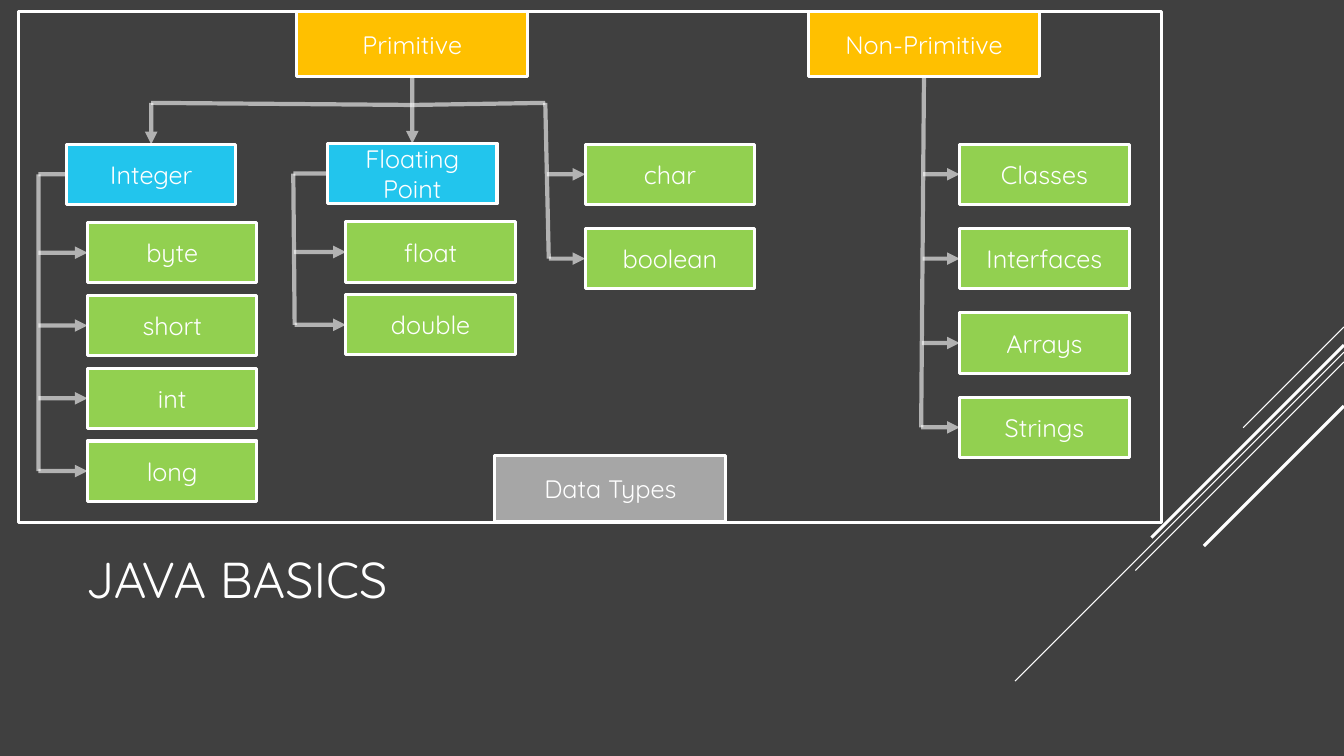
from dataclasses import dataclass
from typing import Optional

from lxml.etree import SubElement as Sub
from pptx import Presentation
from pptx.dml.color import RGBColor as Rgb
from pptx.enum.shapes import MSO_CONNECTOR as Link, MSO_SHAPE as Form
from pptx.enum.text import MSO_ANCHOR as Anchor, MSO_AUTO_SIZE as Fit, PP_ALIGN as Align
from pptx.oxml.ns import qn
from pptx.shapes.autoshape import Shape
from pptx.shapes.connector import Connector
from pptx.text.text import TextFrame
from pptx.util import Pt

FONT = "Quicksand"
HUES = {
    "back": "404040",
    "white": "FFFFFF",
    "gold": "FFC000",
    "blue": "22C5ED",
    "green": "92D050",
    "gray": "A6A6A6",
}
TOP, LEFT, BOTTOM = 0, 1, 2
HEAD = (165, 47)
LEAF = (121, 43)


@dataclass
class Box:
    text: str
    left: float
    top: float
    size: tuple[float, float]
    hue: Optional[str] = None


@dataclass
class Port:
    x: float
    y: float
    shape: Optional[Shape] = None
    site: int = 0


@dataclass
class Branch:
    names: list[str]
    left: float
    top: float
    step: float
    start: Port
    foot: float


@dataclass
class Ray:
    top: float
    span: float
    width: float


deck = Presentation()
deck.slide_width, deck.slide_height = Pt(960), Pt(540)
slide = deck.slides.add_slide(deck.slide_layouts[5])
slide.background.fill.solid()
slide.background.fill.fore_color.rgb = Rgb.from_string(HUES["back"])


def write(frame: TextFrame, text: str, size: float, align: Align) -> None:
    frame.word_wrap = True
    frame.auto_size = Fit.NONE
    frame.vertical_anchor = Anchor.MIDDLE
    para = frame.paragraphs[0]
    para.alignment = align
    run = para.add_run()
    run.text = text
    run.font.name = FONT
    run.font.size = Pt(size)
    run.font.color.rgb = Rgb.from_string(HUES["white"])


def draw(box: Box) -> Shape:
    place = map(Pt, (box.left, box.top, *box.size))
    shape = slide.shapes.add_shape(Form.RECTANGLE, *place)
    shape.shadow.inherit = False
    shape.line.color.rgb = Rgb.from_string(HUES["white"])
    shape.line.width = Pt(2.25)
    if box.hue:
        shape.fill.solid()
        shape.fill.fore_color.rgb = Rgb.from_string(HUES[box.hue])
    else:
        shape.fill.background()
    if box.text:
        write(shape.text_frame, box.text, 18, Align.CENTER)
    return shape


def port(shape: Shape, site: int) -> Port:
    x, y = shape.left.pt, shape.top.pt
    wide, high = shape.width.pt, shape.height.pt
    if site == LEFT:
        return Port(x, y + high / 2, shape, site)
    return Port(x + wide / 2, y + high * (site == BOTTOM), shape, site)


def line(start: Port, end: Port, width: float) -> Connector:
    ends = map(Pt, (start.x, start.y, end.x, end.y))
    link = slide.shapes.add_connector(Link.STRAIGHT, *ends)
    if start.shape:
        link.begin_connect(start.shape, start.site)
    if end.shape:
        link.end_connect(end.shape, end.site)
    link.line.color.rgb = Rgb.from_string(HUES["white"])
    link.line.width = Pt(width)
    Sub(link.element.spPr, qn("a:effectLst"))
    return link


def wire(start: Port, end: Port, tip: bool = False) -> None:
    edge = line(start, end, 3).element.spPr.find(qn("a:ln"))
    Sub(next(edge.iter(qn("a:srgbClr"))), qn("a:alpha"), val="60000")
    if tip:
        Sub(edge, qn("a:tailEnd"), type="triangle")


def grow(branch: Branch) -> None:
    tips = []
    for row, name in enumerate(branch.names):
        top = branch.top + row * branch.step
        tips.append(port(draw(Box(name, branch.left, top, LEAF, "green")), LEFT))
    wire(branch.start, Port(branch.foot, tips[-1].y))
    for tip in tips:
        part = (tip.y - branch.start.y) / (tips[-1].y - branch.start.y)
        x = branch.start.x + part * (branch.foot - branch.start.x)
        wire(Port(x, tip.y), tip, True)


def main() -> None:
    for ray in (
        Ray(233.5, 72, 0.75),
        Ray(251.5, 235, 0.75),
        Ray(258.5, 149, 0.75),
        Ray(246.5, 137.5, 2.25),
        Ray(290, 100, 2.25),
    ):
        line(Port(960, ray.top), Port(960 - ray.span, ray.top + ray.span), ray.width)

    title = slide.shapes.title
    title.left, title.top = Pt(54), Pt(353.5)
    title.width, title.height = Pt(672), Pt(119)
    write(title.text_frame, "JAVA BASICS", 36, Align.LEFT)

    prime = draw(Box("Primitive", 212, 8, HEAD, "gold"))
    other = draw(Box("Non-Primitive", 577.5, 8, HEAD, "gold"))
    whole = draw(Box("Integer", 47.5, 103, LEAF, "blue"))
    real = draw(Box("Floating Point", 234, 102.5, LEAF, "blue"))
    draw(Box("Data Types", 353.5, 325.5, HEAD, "gray"))

    hub = Port(294.5, 75)
    west = Port(port(whole, TOP).x, 73.5)
    east = Port(389.5, 73.5)
    wire(port(prime, BOTTOM), port(real, TOP), True)
    wire(hub, west)
    wire(east, hub)
    wire(west, port(whole, TOP), True)

    ints = Port(27.5, port(whole, LEFT).y)
    reals = Port(209.5, port(real, LEFT).y)
    wire(port(whole, LEFT), ints)
    wire(port(real, LEFT), reals)

    for branch in (
        Branch(["byte", "short", "int", "long"], 62.5, 159, 52, ints, 27.5),
        Branch(["float", "double"], 247, 158.5, 52, reals, 210.5),
        Branch(["char", "boolean"], 418, 103, 60.25, east, 392),
        Branch(["Classes", "Interfaces", "Arrays", "Strings"],
               685.5, 103, 60.25, port(other, BOTTOM), 658),
    ):
        grow(branch)

    draw(Box("", 13, 8, (816.5, 365)))
    deck.save("out.pptx")


if __name__ == "__main__":
    main()
